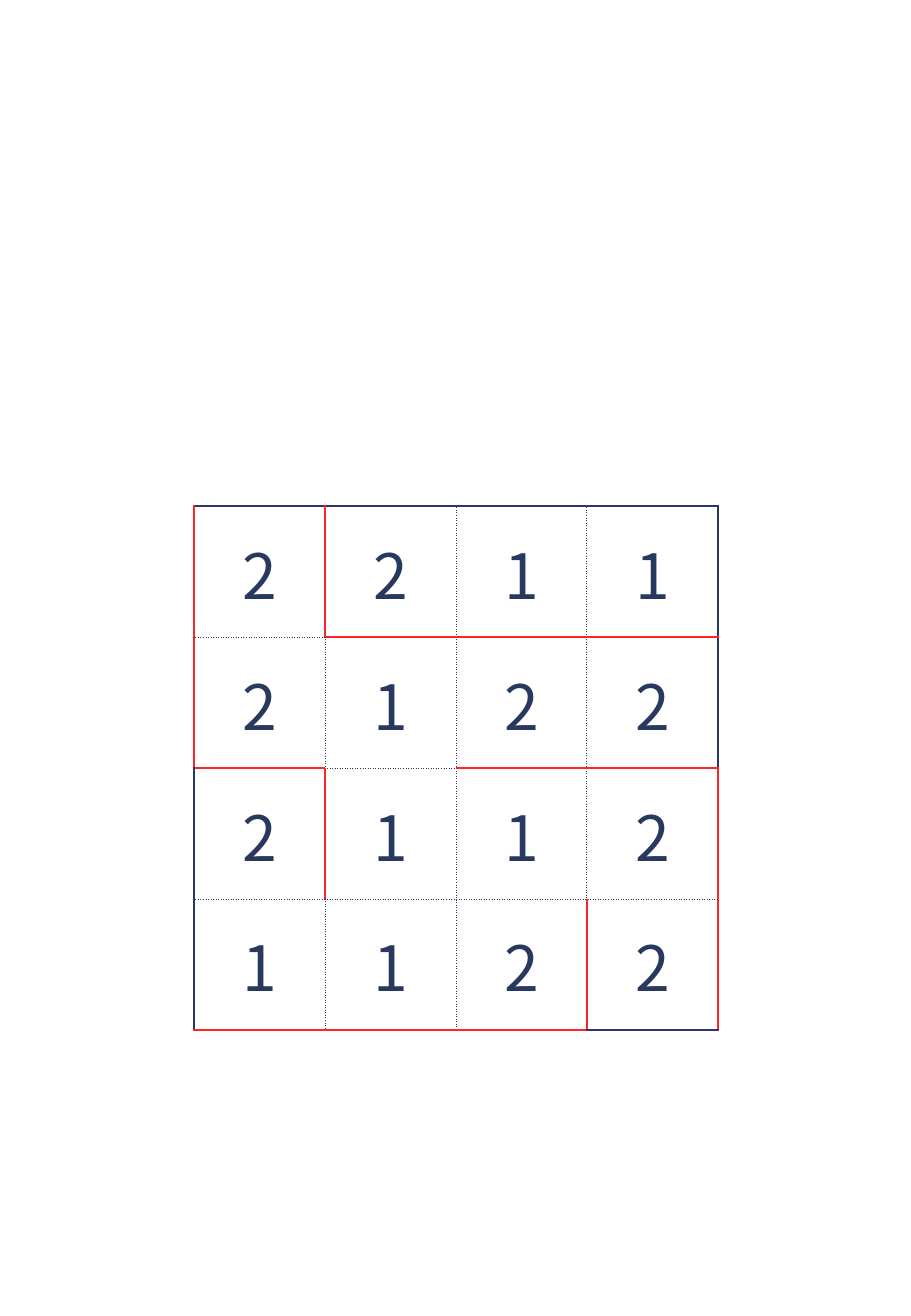
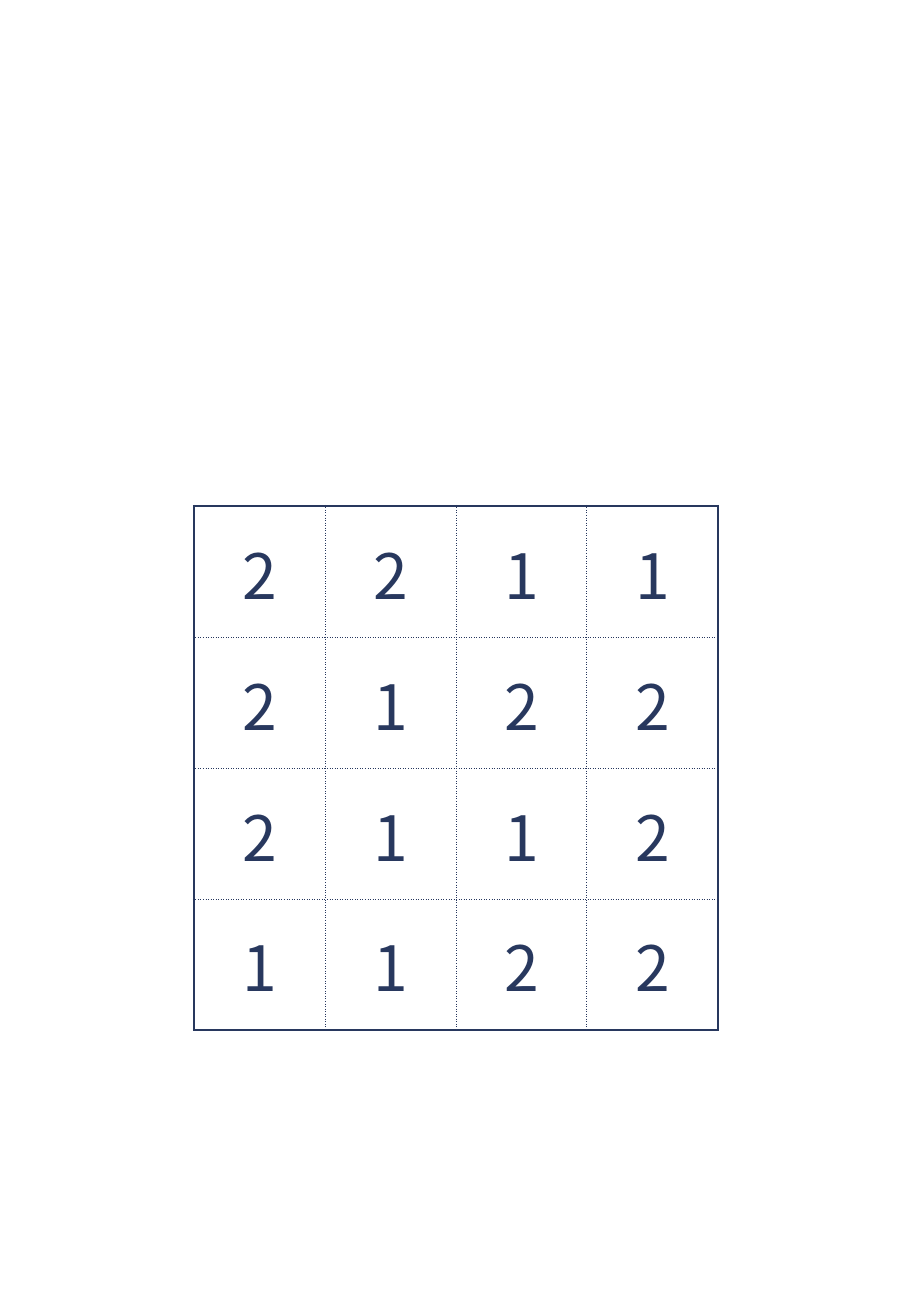
"""Build two number-grid puzzle slides: one with red region lines, one plain."""
import dataclasses

import lxml.etree
import pptx
import pptx.dml.color
import pptx.enum.text
import pptx.oxml.ns
import pptx.slide
import pptx.table
import pptx.util

SCALE = 7526
WIDE, HIGH = 911, 1316
LEFT, TOP, CELL = 63, 375, 131
COUNT = 6
FONT = "Noto Sans CJK JP"
PLAIN_STYLE = "{2D5ABB26-0587-4C30-8999-92F81FD0307C}"
COLORS = {"navy": "28385E", "red": "FF2525"}
DIGITS = ("2211", "2122", "2112", "1122")


@dataclasses.dataclass(frozen=True)
class Pen:
    color: str
    width: float
    dash: str


@dataclasses.dataclass(frozen=True)
class Puzzle:
    across: tuple[str, ...]
    down: tuple[str, ...]


PENS = {
    "N": Pen("navy", 1.5, "solid"),
    "R": Pen("red", 1.5, "solid"),
    ".": Pen("navy", 0.5, "sysDot"),
}
PUZZLES = (
    Puzzle(("NNNN", ".RRR", "R.RR", "....", "RRRN"),
           ("RR..N", "R...N", "NR..R", "N..RR")),
    Puzzle(("NNNN", "....", "....", "....", "NNNN"), ("N...N",) * 4),
)


def px(size: int) -> pptx.util.Emu:
    return pptx.util.Emu(size * SCALE)


def index(lines: tuple[str, ...], row: int, col: int) -> dict[tuple[int, int], str]:
    return {(r, c): mark for r, line in enumerate(lines, row)
            for c, mark in enumerate(line, col)}


def rule(cell: pptx.table._Cell, side: str, pen: Pen) -> None:
    qn = pptx.oxml.ns.qn
    line = lxml.etree.SubElement(cell._tc.get_or_add_tcPr(), qn(f"a:ln{side}"),
                                 w=str(pptx.util.Pt(pen.width)))
    fill = lxml.etree.SubElement(line, qn("a:solidFill"))
    lxml.etree.SubElement(fill, qn("a:srgbClr"), val=COLORS[pen.color])
    lxml.etree.SubElement(line, qn("a:prstDash"), val=pen.dash)


def write(cell: pptx.table._Cell, digit: str) -> None:
    cell.vertical_anchor = pptx.enum.text.MSO_ANCHOR.MIDDLE
    cell.margin_left = cell.margin_right = cell.margin_top = px(1)
    cell.margin_bottom = 0
    cell.text = digit
    para = cell.text_frame.paragraphs[0]
    para.alignment = pptx.enum.text.PP_ALIGN.CENTER
    para.font.name = FONT
    para.font.size = pptx.util.Pt(37)
    para.font.color.rgb = pptx.dml.color.RGBColor.from_string(COLORS["navy"])


def draw(slide: pptx.slide.Slide, puzzle: Puzzle) -> None:
    size = px(CELL * COUNT)
    frame = slide.shapes.add_table(COUNT, COUNT, px(LEFT), px(TOP), size, size)
    table = frame.table
    table.first_row = table.horz_banding = False
    for style in table._tbl.iter(pptx.oxml.ns.qn("a:tableStyleId")):
        style.text = PLAIN_STYLE
    for band in table.columns:
        band.width = px(CELL)
    for band in table.rows:
        band.height = px(CELL)
    across = index(puzzle.across, 0, 1)
    down = index(puzzle.down, 1, 0)
    digits = index(DIGITS, 1, 1)
    for row in range(COUNT):
        for col in range(COUNT):
            cell = table.cell(row, col)
            marks = {"L": down.get((row, col - 1)), "R": down.get((row, col)),
                     "T": across.get((row - 1, col)), "B": across.get((row, col))}
            for side, mark in marks.items():
                if mark:
                    rule(cell, side, PENS[mark])
            cell.fill.background()
            if (row, col) in digits:
                write(cell, digits[row, col])


def main() -> None:
    deck = pptx.Presentation()
    deck.slide_width, deck.slide_height = px(WIDE), px(HIGH)
    for puzzle in PUZZLES:
        draw(deck.slides.add_slide(deck.slide_layouts[6]), puzzle)
    deck.save("out.pptx")


if __name__ == "__main__":
    main()
